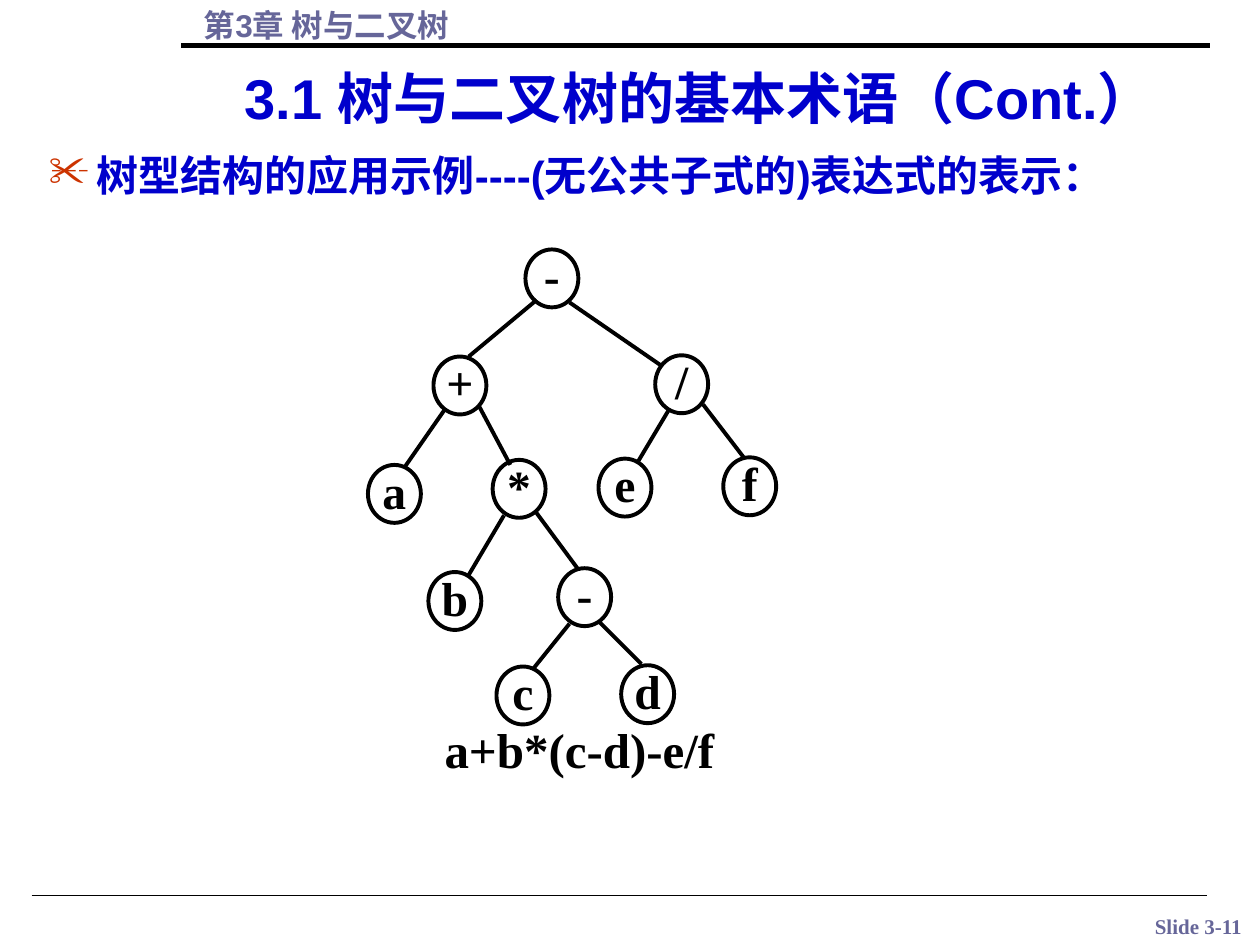
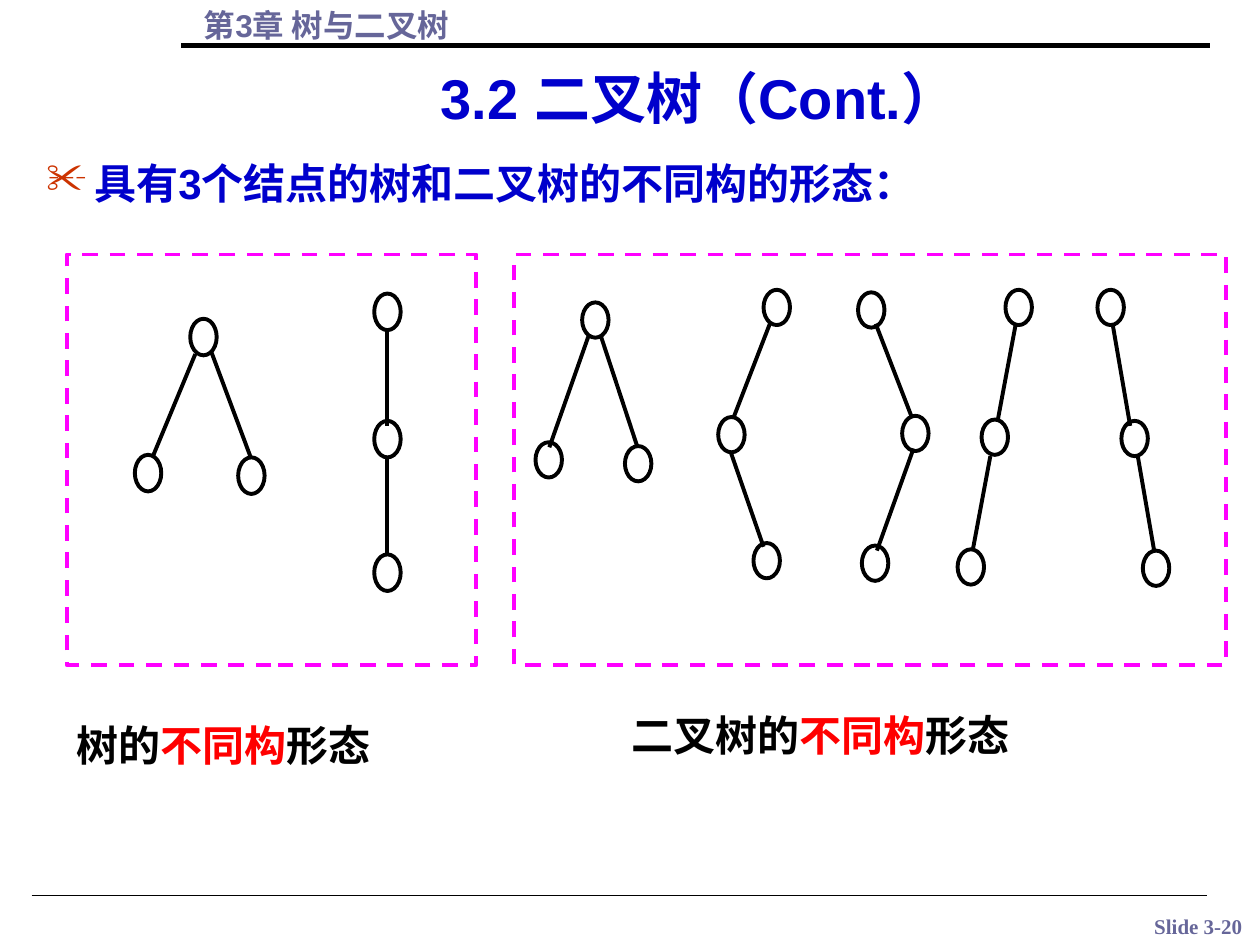
"""Build two slides on trees and binary trees."""
import typing
import pptx
import pptx.dml.color
import pptx.enum.dml
import pptx.enum.shapes
import pptx.enum.text
import pptx.oxml.ns
import pptx.util
from lxml import etree

Inches = pptx.util.Inches
Pt = pptx.util.Pt
Align = pptx.enum.text.PP_ALIGN
Anchor = pptx.enum.text.MSO_ANCHOR
Shape = pptx.enum.shapes.MSO_SHAPE

BLACK, BLUE, RED = "000000", "0000CC", "FF0000"
SLATE, RUST, PINK = "666699", "CC3300", "FF00FF"
SANS, SERIF = "Arial", "Times New Roman"
HANG = 0.38


class Run(typing.NamedTuple):
    text: str
    size: float
    color: str = BLACK
    font: str = SANS


class Box(typing.NamedTuple):
    left: float
    top: float
    width: float
    height: float


class Node(typing.NamedTuple):
    left: float
    top: float
    label: str = ""


class Edge(typing.NamedTuple):
    x1: float
    y1: float
    x2: float
    y2: float


class Tree(typing.NamedTuple):
    width: float
    height: float
    nodes: list[Node]
    edges: list[Edge]


TERM_TREE = Tree(0.42, 0.46, [
    Node(4.17, 1.98, "-"), Node(3.44, 2.83, "+"), Node(5.2, 2.82, "/"),
    Node(2.92, 3.69, "a"), Node(3.91, 3.65, "*"), Node(4.75, 3.64, "e"),
    Node(5.74, 3.63, "f"), Node(3.4, 4.54, "b"), Node(4.43, 4.51, "-"),
    Node(3.94, 5.29, "c"), Node(4.93, 5.28, "d"),
], [
    Edge(4.26, 2.38, 3.72, 2.83), Edge(4.52, 2.4, 5.26, 2.91),
    Edge(3.53, 3.25, 3.21, 3.71), Edge(3.8, 3.22, 4.05, 3.69),
    Edge(5.31, 3.25, 5.06, 3.67), Edge(5.58, 3.21, 5.91, 3.64),
    Edge(4, 4.09, 3.71, 4.58), Edge(4.25, 4.06, 4.59, 4.52),
    Edge(4.52, 4.95, 4.23, 5.31), Edge(4.76, 4.94, 5.09, 5.27),
])

PLAIN_TREES = [
    Tree(0.21, 0.29, [Node(1.51, 2.53), Node(1.07, 3.61), Node(1.89, 3.63)],
         [Edge(1.55, 2.81, 1.21, 3.63), Edge(1.68, 2.8, 1.99, 3.63)]),
    Tree(0.21, 0.29, [Node(2.97, 2.33), Node(2.97, 3.34), Node(2.97, 4.4)],
         [Edge(3.07, 2.62, 3.07, 3.38), Edge(3.07, 3.63, 3.07, 4.39)]),
]

BINARY_TREES = [Tree(0.21, 0.28, nodes, edges) for nodes, edges in [
    ([Node(4.62, 2.4), Node(4.25, 3.51), Node(4.96, 3.54)],
     [Edge(4.67, 2.67, 4.36, 3.55), Edge(4.77, 2.67, 5.06, 3.55)]),
    ([Node(6.06, 2.3), Node(5.7, 3.31), Node(5.98, 4.31)],
     [Edge(6.11, 2.57, 5.82, 3.32), Edge(5.8, 3.59, 6.06, 4.34)]),
    ([Node(6.81, 2.32), Node(7.16, 3.3), Node(6.84, 4.33)],
     [Edge(6.95, 2.57, 7.24, 3.32), Edge(7.25, 3.56, 6.96, 4.37)]),
    ([Node(7.98, 2.3), Node(7.79, 3.33), Node(7.6, 4.36)],
     [Edge(8.06, 2.58, 7.92, 3.33), Edge(7.86, 3.62, 7.72, 4.37)]),
    ([Node(8.71, 2.3), Node(8.9, 3.34), Node(9.07, 4.37)],
     [Edge(8.83, 2.57, 8.97, 3.38), Edge(9.03, 3.62, 9.16, 4.37)]),
]]


def paint(target, color: str) -> None:
    if hasattr(target, "solid"):
        target.solid()
        target = target.fore_color
    target.rgb = pptx.dml.color.RGBColor.from_string(color)


def place(box: Box) -> list[int]:
    return [Inches(side) for side in box]


def write(par, runs: list[Run]) -> None:
    for item in runs:
        run = par.add_run()
        run.text = item.text
        run.font.size = Pt(item.size)
        run.font.name = item.font
        run.font.bold = True
        paint(run.font.color, item.color)


def add_text(slide, box: Box, runs: list[Run], align=Align.LEFT, wrap: bool = True):
    frame = slide.shapes.add_textbox(*place(box)).text_frame
    frame.word_wrap = wrap
    par = frame.paragraphs[0]
    par.alignment = align
    write(par, runs)
    return par


def add_point(slide, left: float, top: float, text: str) -> None:
    par = add_text(slide, Box(left, top, 9.52, 5.85), [Run(text, 24, BLUE)])
    props = par._p.get_or_add_pPr()
    props.set("marL", str(Inches(HANG)))
    props.set("indent", str(-Inches(HANG)))
    name = pptx.oxml.ns.qn
    tint = etree.SubElement(props, name("a:buClr"))
    etree.SubElement(tint, name("a:srgbClr")).set("val", RUST)
    etree.SubElement(props, name("a:buChar")).set("char", "✂")


def add_line(slide, edge: Edge, weight: float = 2.25) -> None:
    line = slide.shapes.add_connector(
        pptx.enum.shapes.MSO_CONNECTOR.STRAIGHT, *[Inches(end) for end in edge])
    paint(line.line.fill, BLACK)
    line.line.width = Pt(weight)
    etree.SubElement(line._element.spPr, pptx.oxml.ns.qn("a:effectLst"))


def add_outline(slide, kind, box: Box, color: str):
    shape = slide.shapes.add_shape(kind, *place(box))
    shape.shadow.inherit = False
    shape.fill.background()
    paint(shape.line.fill, color)
    shape.line.width = Pt(2.25)
    return shape


def add_panel(slide, box: Box) -> None:
    panel = add_outline(slide, Shape.RECTANGLE, box, PINK)
    panel.line.dash_style = pptx.enum.dml.MSO_LINE.DASH


def add_node(slide, node: Node, width: float, height: float) -> None:
    shape = add_outline(
        slide, Shape.OVAL, Box(node.left, node.top, width, height), BLACK)
    if node.label:
        frame = shape.text_frame
        frame.margin_left = frame.margin_right = 0
        frame.margin_top = frame.margin_bottom = 0
        frame.vertical_anchor = Anchor.MIDDLE
        par = frame.paragraphs[0]
        par.alignment = Align.CENTER
        par.line_spacing = 0.9
        write(par, [Run(node.label, 27.2, BLACK, SERIF)])


def add_tree(slide, tree: Tree) -> None:
    for edge in tree.edges:
        add_line(slide, edge)
    for node in tree.nodes:
        add_node(slide, node, tree.width, tree.height)


def add_label(slide, box: Box, lead: str) -> None:
    add_text(slide, box, [Run(lead, 24), Run("不同构", 24, RED), Run("形态", 24)])


def add_slide(deck, title: str, number: str):
    slide = deck.slides.add_slide(deck.slide_layouts[5])
    add_text(slide, Box(8.77, 7.2, 1.48, 0.3),
             [Run(f"Slide {number}", 12, SLATE, SERIF)], Align.CENTER)
    add_text(slide, Box(1.52, 0, 8.03, 0.4), [Run("第3章 树与二叉树", 18, SLATE)])
    add_line(slide, Edge(1.44, 0.36, 9.6, 0.36), 3)
    add_line(slide, Edge(0.25, 7.11, 9.58, 7.11), 0.75)
    head = slide.shapes.title
    head.left, head.top, head.width, head.height = place(Box(1.36, 0.42, 8.38, 0.67))
    frame = head.text_frame
    frame.auto_size = pptx.enum.text.MSO_AUTO_SIZE.NONE
    frame.vertical_anchor = Anchor.BOTTOM
    par = frame.paragraphs[0]
    par.alignment = Align.CENTER
    write(par, [Run(title, 32, BLUE)])
    return slide


def add_terms(deck) -> None:
    slide = add_slide(deck, "3.1 树与二叉树的基本术语（Cont.）", "3-11")
    add_point(slide, 0.29, 1.14, "树型结构的应用示例----(无公共子式的)表达式的表示：")
    add_tree(slide, TERM_TREE)
    add_text(slide, Box(3.43, 5.66, 2.34, 0.57),
             [Run("a+b*(c-d)-e/f", 28, BLACK, SERIF)], wrap=False)


def add_forms(deck) -> None:
    slide = add_slide(deck, "3.2 二叉树（Cont.）", "3-20")
    add_point(slide, 0.27, 1.2, "具有3个结点的树和二叉树的不同构的形态：")
    add_panel(slide, Box(0.53, 2.02, 3.25, 3.26))
    add_panel(slide, Box(4.08, 2.02, 5.65, 3.26))
    for tree in PLAIN_TREES + BINARY_TREES:
        add_tree(slide, tree)
    add_label(slide, Box(0.51, 5.66, 3.28, 0.5), "树的")
    add_label(slide, Box(4.91, 5.58, 3.95, 0.5), "二叉树的")


def main() -> None:
    deck = pptx.Presentation()
    deck.slide_width, deck.slide_height = Inches(10), Inches(7.5)
    add_terms(deck)
    add_forms(deck)
    deck.save("out.pptx")


if __name__ == "__main__":
    main()
